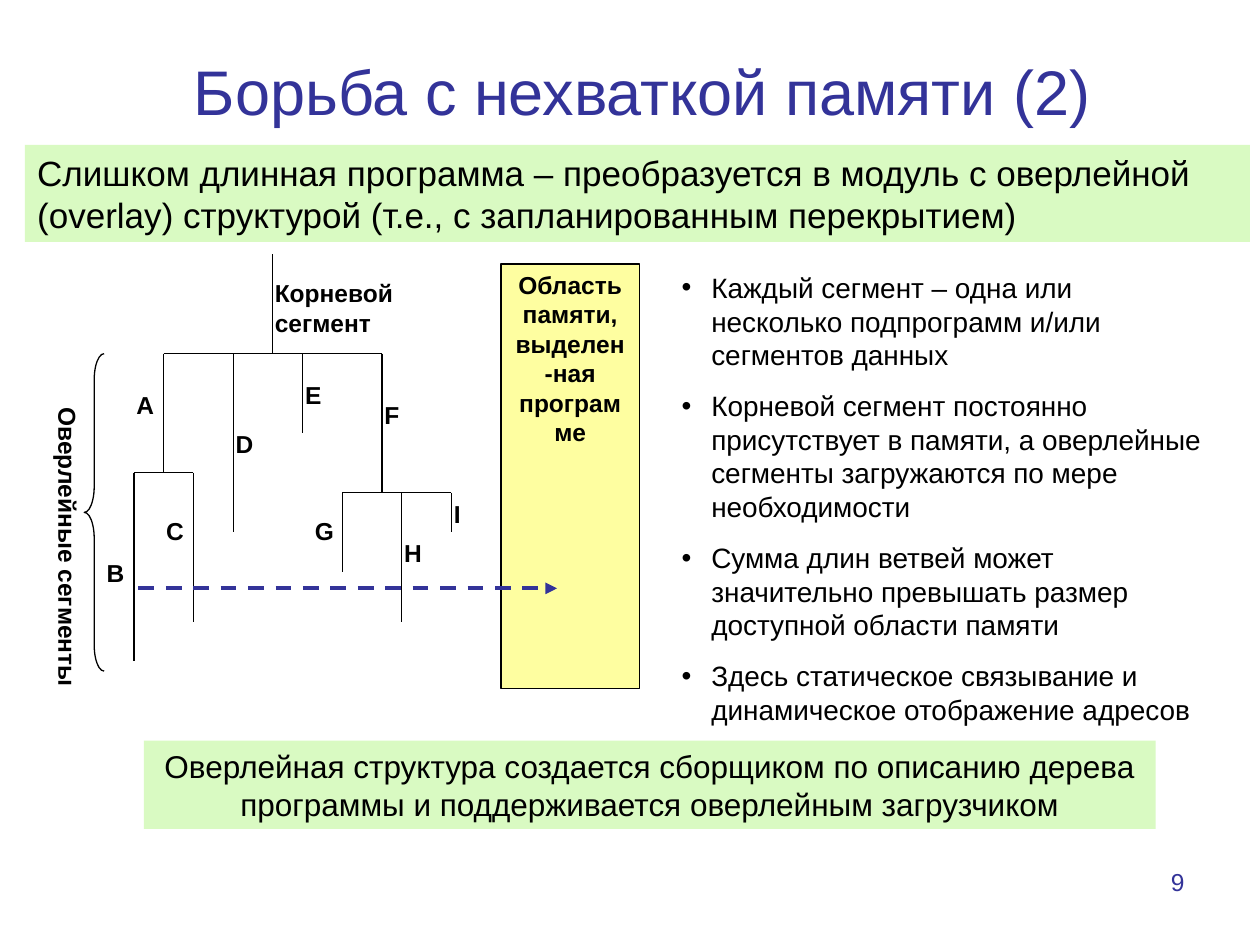
from dataclasses import dataclass

from lxml import etree
from pptx import Presentation
from pptx.dml.color import RGBColor
from pptx.enum.dml import MSO_LINE
from pptx.enum.shapes import MSO_CONNECTOR, MSO_SHAPE
from pptx.enum.text import MSO_ANCHOR, PP_ALIGN
from pptx.oxml.ns import qn
from pptx.util import Cm, Pt

LEFT, CENTER, RIGHT = PP_ALIGN.LEFT, PP_ALIGN.CENTER, PP_ALIGN.RIGHT
TOP, MIDDLE = MSO_ANCHOR.TOP, MSO_ANCHOR.MIDDLE
RECTANGLE, LEFT_BRACE = MSO_SHAPE.RECTANGLE, MSO_SHAPE.LEFT_BRACE
STRAIGHT, DASH = MSO_CONNECTOR.STRAIGHT, MSO_LINE.DASH


@dataclass(frozen=True)
class Theme:
    font: str = "Arial"
    ink: RGBColor = RGBColor(0x00, 0x00, 0x00)
    accent: RGBColor = RGBColor(0x33, 0x33, 0x99)
    banner: RGBColor = RGBColor(0xD9, 0xFA, 0xC2)
    memory: RGBColor = RGBColor(0xFE, 0xFE, 0xA0)
    title_size: int = 36
    lead_size: int = 20
    summary_size: int = 18
    bullet_size: int = 16
    label_size: int = 14
    thin: float = 0.75
    thick: float = 2.25


THEME = Theme()


@dataclass(frozen=True)
class Box:
    """Position and size in centimetres."""
    left: float
    top: float
    width: float
    height: float

    def lengths(self) -> tuple:
        return Cm(self.left), Cm(self.top), Cm(self.width), Cm(self.height)


@dataclass(frozen=True)
class Segment:
    name: str
    x: float
    end: float
    label_top: float
    label_offset: float


@dataclass(frozen=True)
class Branch:
    """Segments that hang from one horizontal bar."""
    y: float
    segments: tuple


BEFORE_STEM, AFTER_STEM = -0.8, -0.2
ROOT = Segment("Корневой сегмент", 5.49, 7.13, 5.49, AFTER_STEM)
ROOT_TOP = 5.13
BRANCHES = (
    Branch(7.13, (
        Segment("A", 3.3, 9.53, 7.73, BEFORE_STEM),
        Segment("D", 4.7, 10.72, 8.53, AFTER_STEM),
        Segment("E", 6.1, 8.73, 7.53, AFTER_STEM),
        Segment("F", 7.7, 9.93, 7.93, AFTER_STEM),
    )),
    Branch(9.53, (
        Segment("B", 2.7, 13.33, 11.13, BEFORE_STEM),
        Segment("C", 3.9, 12.53, 10.28, BEFORE_STEM),
    )),
    Branch(9.93, (
        Segment("G", 6.9, 11.53, 10.28, BEFORE_STEM),
        Segment("H", 8.1, 12.53, 10.73, AFTER_STEM),
        Segment("I", 9.1, 10.72, 9.93, AFTER_STEM),
    )),
)
BULLETS = (
    "Каждый сегмент – одна или несколько подпрограмм и/или сегментов данных",
    "Корневой сегмент постоянно присутствует в памяти, а оверлейные "
    "сегменты загружаются по мере необходимости",
    "Сумма длин ветвей может значительно превышать размер доступной "
    "области памяти",
    "Здесь статическое связывание и динамическое отображение адресов",
)


def add_bullet(paragraph) -> None:
    properties = paragraph._p.get_or_add_pPr()
    properties.set("marL", str(Cm(0.6)))
    properties.set("indent", str(Cm(-0.6)))
    etree.SubElement(properties, qn("a:buFont")).set("typeface", THEME.font)
    etree.SubElement(properties, qn("a:buChar")).set("char", "•")


def write(shape, *paragraphs: str, size: int = THEME.label_size,
          color: RGBColor = THEME.ink, bold: bool = False, align=LEFT,
          anchor=TOP, bullets: bool = False, gap: float = 0) -> None:
    frame = shape.text_frame
    frame.word_wrap = True
    frame.vertical_anchor = anchor
    for index, text in enumerate(paragraphs):
        paragraph = frame.add_paragraph() if index else frame.paragraphs[0]
        paragraph.alignment = align
        if index:
            paragraph.space_before = Pt(gap)
        if bullets:
            add_bullet(paragraph)
        run = paragraph.add_run()
        run.text = text
        run.font.name = THEME.font
        run.font.size = Pt(size)
        run.font.bold = bold
        run.font.color.rgb = color


def add_text(slide, box: Box, *paragraphs: str, **text_format):
    shape = slide.shapes.add_textbox(*box.lengths())
    write(shape, *paragraphs, **text_format)
    return shape


def add_figure(slide, kind, box: Box, fill: RGBColor | None = None,
               outlined: bool = False):
    shape = slide.shapes.add_shape(kind, *box.lengths())
    shape.shadow.inherit = False
    if fill is None:
        shape.fill.background()
    else:
        shape.fill.solid()
        shape.fill.fore_color.rgb = fill
    if outlined:
        shape.line.color.rgb = THEME.ink
        shape.line.width = Pt(THEME.thin)
    else:
        shape.line.fill.background()
    return shape


def add_line(slide, x1: float, y1: float, x2: float, y2: float,
             color: RGBColor = THEME.ink, width: float = THEME.thin):
    line = slide.shapes.add_connector(STRAIGHT, Cm(x1), Cm(y1), Cm(x2), Cm(y2))
    line.line.color.rgb = color
    line.line.width = Pt(width)
    etree.SubElement(line._element.spPr, qn("a:effectLst"))
    return line


def add_dashed_arrow(slide, x1: float, y1: float, x2: float, y2: float) -> None:
    arrow = add_line(slide, x1, y1, x2, y2, THEME.accent, THEME.thick)
    arrow.line.dash_style = DASH
    etree.SubElement(arrow.line._get_or_add_ln(), qn("a:tailEnd")).set("type", "triangle")


def add_segment(slide, segment: Segment, top: float, label_width: float = 1.2,
                label_height: float = 0.86) -> None:
    add_line(slide, segment.x, top, segment.x, segment.end)
    label = Box(segment.x + segment.label_offset, segment.label_top,
                label_width, label_height)
    add_text(slide, label, segment.name, bold=True)


def add_overlay_tree(slide) -> None:
    add_segment(slide, ROOT, ROOT_TOP, label_width=3.2, label_height=1.45)
    for branch in BRANCHES:
        add_line(slide, branch.segments[0].x, branch.y,
                 branch.segments[-1].x, branch.y)
        for segment in branch.segments:
            add_segment(slide, segment, branch.y)
    brace = add_figure(slide, LEFT_BRACE, Box(1.7, 7.13, 0.4, 6.4), outlined=True)
    brace.adjustments[0] = 1.31
    caption = add_text(slide, Box(0.71, 7.96, 1.09, 7.01), "Оверлейные сегменты",
                       bold=True, align=CENTER)
    frame = caption.text_frame
    frame.margin_left = frame.margin_right = Cm(0.13)
    frame._txBody.bodyPr.set("vert", "eaVert")


def main() -> None:
    deck = Presentation()
    deck.slide_width, deck.slide_height = Cm(25.4), Cm(19.05)
    slide = deck.slides.add_slide(deck.slide_layouts[6])

    add_text(slide, Box(0.5, -0.08, 24.9, 3.81), "Борьба с нехваткой памяти (2)",
             size=THEME.title_size, color=THEME.accent, align=CENTER, anchor=MIDDLE)
    lead = add_figure(slide, RECTANGLE, Box(0.5, 2.92, 24.7, 1.96), THEME.banner)
    write(lead, "Слишком длинная программа – преобразуется в модуль с оверлейной "
          "(overlay) структурой (т.е., с запланированным перекрытием)",
          size=THEME.lead_size)

    add_overlay_tree(slide)
    memory = add_figure(slide, RECTANGLE, Box(10.1, 5.32, 2.79, 8.56),
                        THEME.memory, outlined=True)
    write(memory, "Область", "памяти, выделен-ная программе", bold=True, align=CENTER)
    add_dashed_arrow(slide, 2.79, 11.86, 11.23, 11.86)

    add_text(slide, Box(13.49, 5.33, 11.07, 8.76), *BULLETS,
             size=THEME.bullet_size, bullets=True, gap=10)
    summary = add_figure(slide, RECTANGLE, Box(2.9, 14.93, 20.4, 1.78), THEME.banner)
    write(summary, "Оверлейная структура создается сборщиком по описанию дерева "
          "программы и поддерживается оверлейным загрузчиком",
          size=THEME.summary_size, align=CENTER)
    add_text(slide, Box(18.21, 17.35, 5.92, 1.32), "9", color=THEME.accent, align=RIGHT)

    deck.save("out.pptx")


if __name__ == "__main__":
    main()
